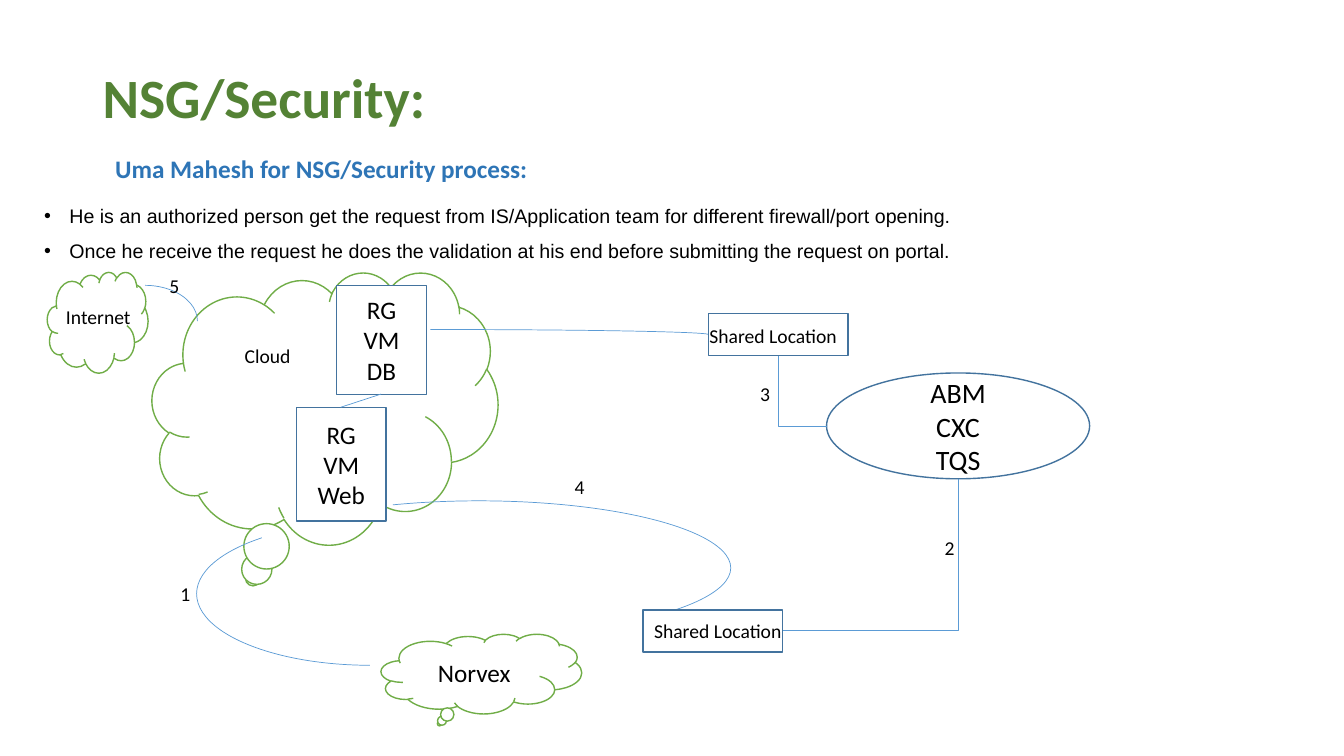
from lxml import etree
from pptx import Presentation
from pptx.dml.color import RGBColor
from pptx.enum.shapes import MSO_CONNECTOR, MSO_SHAPE
from pptx.enum.text import MSO_ANCHOR, PP_ALIGN
from pptx.oxml.ns import qn
from pptx.util import Pt

RECT, OVAL, ARC = MSO_SHAPE.RECTANGLE, MSO_SHAPE.OVAL, MSO_SHAPE.ARC
CLOUD, CALLOUT = MSO_SHAPE.CLOUD, MSO_SHAPE.CLOUD_CALLOUT
STRAIGHT, ELBOW = MSO_CONNECTOR.STRAIGHT, MSO_CONNECTOR.ELBOW
LEFT, CENTER = PP_ALIGN.LEFT, PP_ALIGN.CENTER
TOP, MIDDLE = MSO_ANCHOR.TOP, MSO_ANCHOR.MIDDLE

COLORS = {"heading": "548235", "subheading": "2E75B6", "text": "000000", "paper": "FFFFFF",
          "cloud": "70AD47", "box": "43739E", "link": "5B9BD5"}


def color(name):
    """Return the named colour."""
    return RGBColor.from_string(COLORS[name])


def add_text(frame, text, size=14, font="Calibri", tint="text", bold=False, align=CENTER,
             spacing=1.0, before=0, indent=0, bullet=False):
    """Add one formatted paragraph to a text frame and return it."""
    first = frame.paragraphs[0]
    paragraph = frame.add_paragraph() if first.runs else first
    paragraph.alignment = align
    paragraph.line_spacing = spacing
    paragraph.space_before = Pt(before)
    run = paragraph.add_run()
    run.text = text
    run.font.size, run.font.name, run.font.bold = Pt(size), font, bold
    run.font.color.rgb = color(tint)
    properties = paragraph._p.get_or_add_pPr()
    properties.set("marL", str(Pt(indent)))
    if bullet:
        properties.set("indent", str(-Pt(indent)))
        etree.SubElement(properties, qn("a:buFont")).set("typeface", "Arial")
        etree.SubElement(properties, qn("a:buChar")).set("char", "•")
    return paragraph


def add_frame(slide, place, anchor=TOP, wrap=True):
    """Add an empty text box and return its text frame."""
    frame = slide.shapes.add_textbox(*map(Pt, place)).text_frame
    frame.word_wrap = wrap
    frame.vertical_anchor = anchor
    return frame


def add_label(slide, left, top, width, text, wrap=True):
    """Add a small centred label."""
    add_text(add_frame(slide, (left, top, width, 24.5), wrap=wrap), text)


def add_node(slide, kind, place, outline, lines=(), size=18):
    """Add a white outlined shape with centred lines of text."""
    node = slide.shapes.add_shape(kind, *map(Pt, place))
    node.shadow.inherit = False
    node.fill.solid()
    node.fill.fore_color.rgb = color("paper")
    node.line.color.rgb = color(outline)
    node.line.width = Pt(1)
    node.text_frame.vertical_anchor = MIDDLE
    for text in lines:
        add_text(node.text_frame, text, size=size)


def add_arc(slide, place, angles=(162, 0), rotation=0):
    """Add a thin curved link."""
    arc = slide.shapes.add_shape(ARC, *map(Pt, place))
    arc.shadow.inherit = False
    arc.fill.background()
    arc.line.color.rgb = color("link")
    arc.line.width = Pt(0.5)
    arc.rotation = rotation
    arc.adjustments[0], arc.adjustments[1] = angles


def add_link(slide, kind, start, end):
    """Add a thin link, straight or with one bend."""
    link = slide.shapes.add_connector(kind, *map(Pt, start + end))
    link.line.color.rgb = color("link")
    link.line.width = Pt(0.5)
    properties = link._element.spPr
    if kind == ELBOW:
        properties.find(qn("a:prstGeom")).set("prst", "bentConnector2")
    etree.SubElement(properties, qn("a:effectLst"))


def add_heading(slide):
    """Add the title, its subtitle and the two bullet points."""
    title = add_frame(slide, (66.2, 86.4, 828, 57.6), anchor=MIDDLE)
    title.margin_bottom = Pt(52)
    add_text(title, "NSG/Security:", size=39.6, tint="heading", bold=True, align=LEFT, spacing=0.9)
    add_text(title, "Uma Mahesh for NSG/Security process:", size=18, tint="subheading",
             bold=True, align=LEFT, spacing=0.9, before=18.5, indent=9)
    body = add_frame(slide, (24.5, 144, 869, 379.4))
    for text in (
        "He is an authorized person get the request from IS/Application team "
        "for different firewall/port opening.",
        "Once he receive the request he does the validation at his end "
        "before submitting the request on portal.",
    ):
        add_text(body, text, font="Arial", align=LEFT, spacing=0.9, before=10, indent=18, bullet=True)


def main():
    """Build the slide and save it."""
    deck = Presentation()
    deck.slide_width, deck.slide_height = Pt(960), Pt(540)
    slide = deck.slides.add_slide(deck.slide_layouts[6])
    add_heading(slide)

    add_node(slide, CALLOUT, (108.7, 194.4, 247, 194.4), "cloud")
    add_node(slide, CALLOUT, (272.2, 452.9, 143.3, 56.9), "cloud", ["Norvex"])
    add_node(slide, CLOUD, (33.8, 194.4, 72, 72), "cloud")
    add_node(slide, RECT, (211.7, 290.9, 64.1, 81.4), "box", ["RG", "VM", "Web"])
    add_node(slide, RECT, (240.5, 203.8, 64.1, 77.8), "box", ["RG", "VM", "DB"])
    add_node(slide, OVAL, (590.4, 266.4, 187.9, 75.6), "box", ["ABM", "CXC", "TQS"], size=20)

    add_arc(slide, (140.4, 373, 247.7, 102.2), angles=(162, 16.41), rotation=180)
    add_arc(slide, (108.7, 235.4, 397.4, 7.2))
    add_arc(slide, (162, 357.8, 360, 95.8), angles=(129.79, 8.14))
    add_arc(slide, (66.2, 203.8, 74.9, 51.1))
    add_link(slide, STRAIGHT, (272.2, 281.5), (243.4, 290.9))
    add_link(slide, ELBOW, (531.4, 450), (684.7, 342))
    add_link(slide, ELBOW, (590.4, 304.6), (555.8, 254.2))

    for box_left, box_top, label_left, label_top in (
        (506.2, 223.9, 499, 228.2), (459.4, 435.6, 459.4, 438.5),
    ):
        add_node(slide, RECT, (box_left, box_top, 99.4, 30.2), "box")
        add_label(slide, label_left, label_top, 106.6, "Shared Location", wrap=False)

    add_label(slide, 165.6, 241.9, 51.1, "Cloud")
    add_label(slide, 39.6, 214.6, 61.2, "Internet", wrap=False)
    steps = ((119.5, 411.8), (665.3, 379.4), (533.5, 269.3), (401, 335.5), (111.6, 192.2))
    for number, (left, top) in enumerate(steps, start=1):
        add_label(slide, left, top, 25.9, str(number))

    deck.save("out.pptx")


if __name__ == "__main__":
    main()
